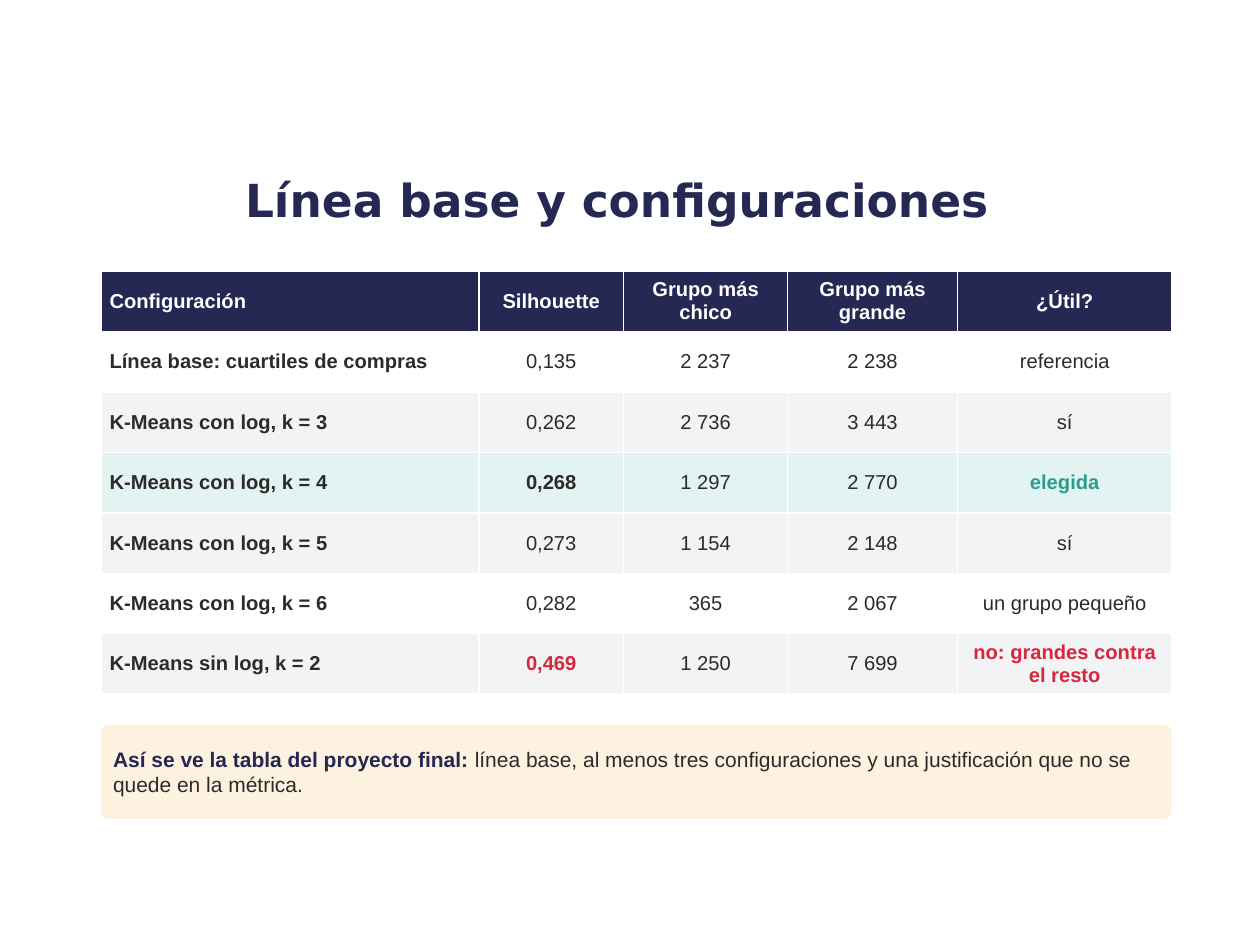
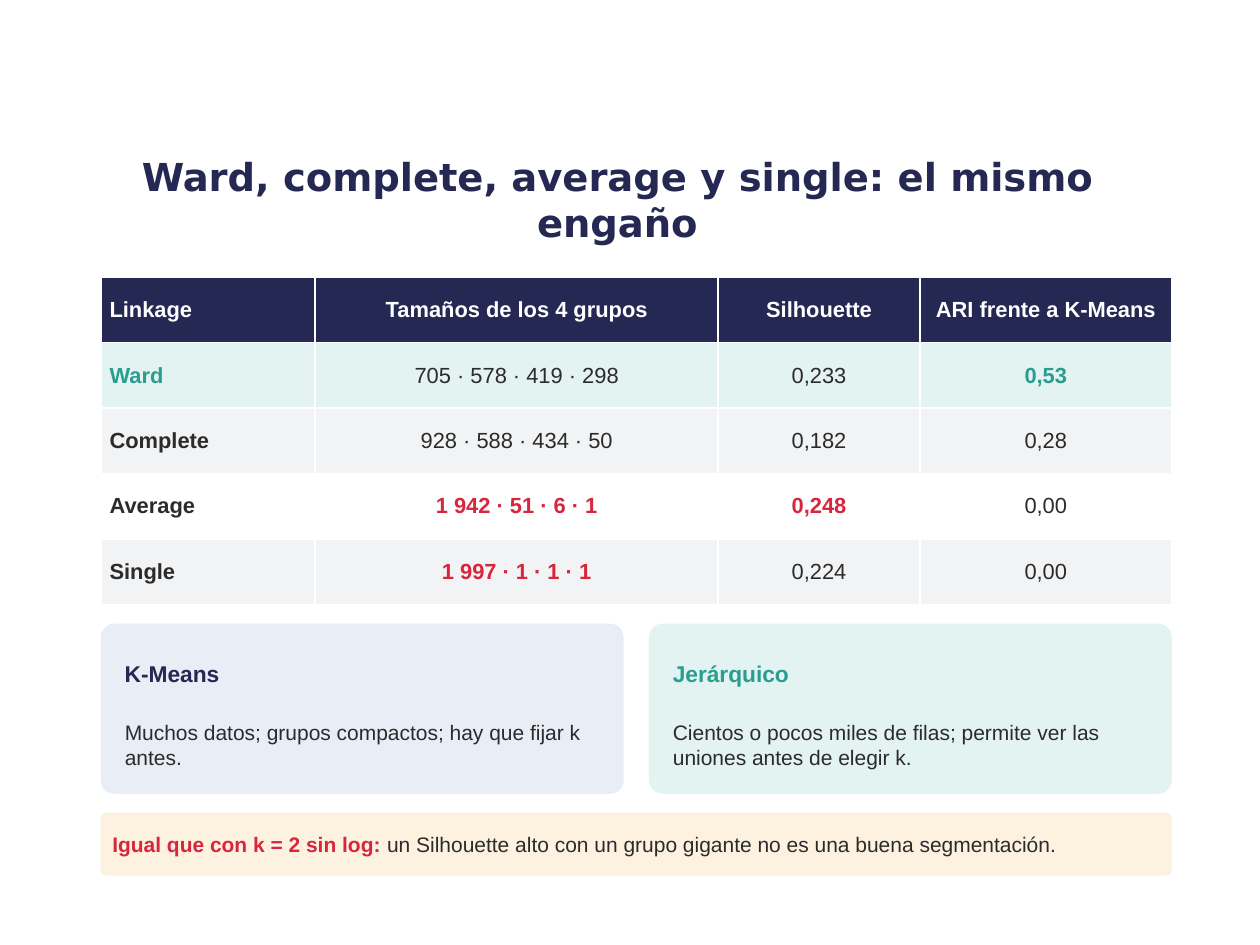
from dataclasses import dataclass

from pptx import Presentation
from pptx.dml.color import RGBColor
from pptx.enum.shapes import MSO_SHAPE
from pptx.enum.text import MSO_ANCHOR, PP_ALIGN
from pptx.util import Inches, Pt


@dataclass(frozen=True)
class Theme:
    """Colours, fonts, type sizes and the grid shared by the slides."""
    navy: str = "242852"
    ink: str = "2B2B2B"
    teal: str = "2A9D8F"
    red: str = "D7263D"
    white: str = "FFFFFF"
    grey: str = "F2F3F5"
    mint: str = "E3F3F1"
    cream: str = "FDF2E0"
    mist: str = "E8EDF6"
    title_font: str = "DejaVu Sans"
    body_font: str = "Arial"
    heading_size: float = 13
    body_size: float = 12
    columns: int = 100
    rows: int = 75
    unit: float = 0.1
    left: float = 8
    width: float = 85


T = Theme()


def grid(*cells):
    """Turn grid columns or rows into lengths."""
    return [Inches(c * T.unit) for c in cells]


def add_text(p, text, size=T.body_size, color=T.ink, bold=False, font=T.body_font,
             align=PP_ALIGN.LEFT, after=None):
    """Append one formatted run to a paragraph."""
    p.alignment = align
    if after is not None:
        p.space_after = Pt(after)
    r = p.add_run()
    r.text = text
    r.font.size, r.font.bold, r.font.name = Pt(size), bold, font
    r.font.color.rgb = RGBColor.from_string(color)


def set_frame(tf, inset_x, inset_y, anchor=MSO_ANCHOR.MIDDLE):
    """Set wrapping, insets and anchor, and return the first paragraph."""
    tf.word_wrap = True
    tf.vertical_anchor = anchor
    tf.margin_left = tf.margin_right = Inches(inset_x)
    tf.margin_top = tf.margin_bottom = Inches(inset_y)
    return tf.paragraphs[0]


def add_box(s, x, y, w, h, inset_x=0.04, inset_y=0.04, anchor=MSO_ANCHOR.MIDDLE):
    """Add a text box and return its first paragraph."""
    return set_frame(s.shapes.add_textbox(*grid(x, y, w, h)).text_frame,
                     inset_x, inset_y, anchor)


def add_panel(s, x, y, w, h, fill):
    """Add a plain rounded panel."""
    sp = s.shapes.add_shape(MSO_SHAPE.ROUNDED_RECTANGLE, *grid(x, y, w, h))
    sp.adjustments[0] = 0.08
    sp.fill.solid()
    sp.fill.fore_color.rgb = RGBColor.from_string(fill)
    sp.line.fill.background()
    sp.shadow.inherit = False
    return sp


def add_slide(prs, title, size):
    """Add a blank slide with the shared title style."""
    s = prs.slides.add_slide(prs.slide_layouts[6])
    p = add_box(s, 7.5, 11.8, 83, 8, 0.1, 0.05)
    add_text(p, title, size=size, color=T.navy, bold=True, font=T.title_font,
             align=PP_ALIGN.CENTER)
    return s


def row_fill(row, chosen):
    """Choose the fill of a table row."""
    if row == 0:
        return T.navy
    if row == chosen:
        return T.mint
    return T.white if row % 2 else T.grey


def add_results(s, y, widths, row_height, data, size, chosen, accents):
    """Add a results table; accents maps (row, column) to a bold colour."""
    table = s.shapes.add_table(len(data), len(widths), *grid(
        T.left, y, T.width, row_height * len(data))).table
    for column, width in zip(table.columns, widths):
        column.width = grid(width)[0]
    for i, values in enumerate(data):
        table.rows[i].height = grid(row_height)[0]
        for j, value in enumerate(values):
            cell = table.cell(i, j)
            cell.fill.solid()
            cell.fill.fore_color.rgb = RGBColor.from_string(row_fill(i, chosen))
            cell.vertical_anchor = MSO_ANCHOR.MIDDLE
            cell.margin_left = cell.margin_right = Inches(0.07)
            cell.margin_top = cell.margin_bottom = Inches(0.03)
            add_text(cell.text_frame.paragraphs[0], value, size=size,
                     color=accents.get((i, j), T.ink if i else T.white),
                     bold=i == 0 or j == 0 or (i, j) in accents,
                     align=PP_ALIGN.CENTER if j else PP_ALIGN.LEFT)


def add_callout(s, y, h, lead, text, color):
    """Add a full-width callout with a bold lead."""
    sp = add_panel(s, T.left, y, T.width, h, T.cream)
    p = set_frame(sp.text_frame, 0.08, 0.08)
    add_text(p, lead, color=color, bold=True, after=3)
    add_text(p, text)


def add_card(s, x, y, heading, text, color, fill):
    """Add a card with a coloured heading above its text."""
    add_panel(s, x, y, 41.5, 13.5, fill)
    add_text(add_box(s, x + 1.5, y + 1.2, 39, 5.5), heading,
             size=T.heading_size, color=color, bold=True, after=4)
    add_text(add_box(s, x + 1.5, y + 7.2, 38.5, 5.5, anchor=MSO_ANCHOR.TOP),
             text, after=4)


def build_configurations(prs):
    """Build the slide that compares configurations with the baseline."""
    s = add_slide(prs, "Línea base y configuraciones", 26)
    data = [
        ("Configuración", "Silhouette", "Grupo más chico", "Grupo más grande", "¿Útil?"),
        ("Línea base: cuartiles de compras", "0,135", "2 237", "2 238", "referencia"),
        ("K-Means con log, k = 3", "0,262", "2 736", "3 443", "sí"),
        ("K-Means con log, k = 4", "0,268", "1 297", "2 770", "elegida"),
        ("K-Means con log, k = 5", "0,273", "1 154", "2 148", "sí"),
        ("K-Means con log, k = 6", "0,282", "365", "2 067", "un grupo pequeño"),
        ("K-Means sin log, k = 2", "0,469", "1 250", "7 699", "no: grandes contra el resto"),
    ]
    add_results(s, 21.5, (30, 11.5, 13, 13.5, 17), 4.8, data, size=11.5, chosen=3,
                accents={(3, 1): T.ink, (3, 4): T.teal, (6, 1): T.red, (6, 4): T.red})
    add_callout(s, 57.5, 7.5, "Así se ve la tabla del proyecto final: ",
                "línea base, al menos tres configuraciones y una justificación "
                "que no se quede en la métrica.", T.navy)


def build_linkages(prs):
    """Build the slide that compares linkages and clustering methods."""
    s = add_slide(prs, "Ward, complete, average y single: el mismo engaño", 22)
    data = [
        ("Linkage", "Tamaños de los 4 grupos", "Silhouette", "ARI frente a K-Means"),
        ("Ward", "705 · 578 · 419 · 298", "0,233", "0,53"),
        ("Complete", "928 · 588 · 434 · 50", "0,182", "0,28"),
        ("Average", "1 942 · 51 · 6 · 1", "0,248", "0,00"),
        ("Single", "1 997 · 1 · 1 · 1", "0,224", "0,00"),
    ]
    add_results(s, 22, (17, 32, 16, 20), 5.2, data, size=12.5, chosen=1,
                accents={(1, 0): T.teal, (1, 3): T.teal, (3, 1): T.red,
                         (3, 2): T.red, (4, 1): T.red})
    cards = [
        ("K-Means", "Muchos datos; grupos compactos; hay que fijar k antes.",
         T.navy, T.mist),
        ("Jerárquico", "Cientos o pocos miles de filas; permite ver las uniones "
         "antes de elegir k.", T.teal, T.mint),
    ]
    for i, card in enumerate(cards):
        add_card(s, T.left + i * 43.5, 49.5, *card)
    add_callout(s, 64.5, 5, "Igual que con k = 2 sin log: ",
                "un Silhouette alto con un grupo gigante no es una buena segmentación.",
                T.red)


def main():
    """Build and save the presentation."""
    prs = Presentation()
    prs.slide_width, prs.slide_height = grid(T.columns, T.rows)
    build_configurations(prs)
    build_linkages(prs)
    prs.save("out.pptx")


if __name__ == "__main__":
    main()
